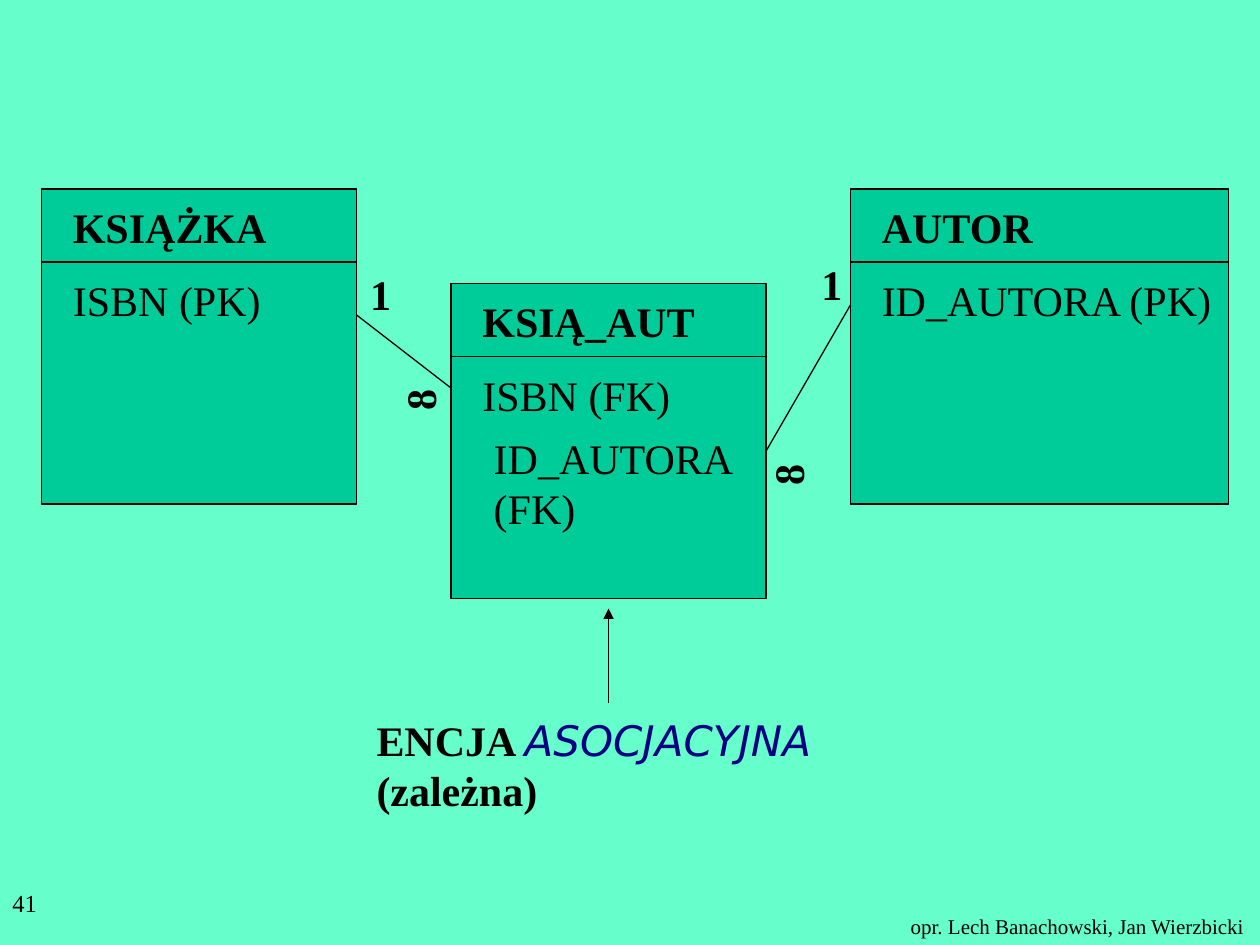
import pptx
import pptx.dml.color
import pptx.enum.shapes
import pptx.oxml.ns
import pptx.util
from lxml import etree
from pptx.util import Inches

SERIF = "Times New Roman"
BLACK = "000000"
HEADER_HEIGHT = 0.58


def color(hex_code):
    """Turn a hex string into a colour."""
    return pptx.dml.color.RGBColor.from_string(hex_code)


def style_font(font, size=24, bold=False, italic=False, name=SERIF, hex_code=BLACK):
    """Set the look of a paragraph or run font."""
    font.name, font.size = name, pptx.util.Pt(size)
    font.bold, font.italic = bold, italic
    font.color.rgb = color(hex_code)


def add_label(slide, text, left, top, width, height=0.5, size=24, bold=False,
              rotation=0, wrap=False):
    """Add a text box in one font and return its paragraph."""
    label = slide.shapes.add_textbox(Inches(left), Inches(top), Inches(width), Inches(height))
    label.rotation = rotation
    label.text_frame.word_wrap = wrap
    paragraph = label.text_frame.paragraphs[0]
    paragraph.text = text
    style_font(paragraph.font, size, bold)
    return paragraph


def add_line(slide, start, end, arrow=False):
    """Add a thin black line, with an arrowhead at its end if asked."""
    line = slide.shapes.add_connector(
        pptx.enum.shapes.MSO_CONNECTOR.STRAIGHT, *map(Inches, start + end))
    line.line.color.rgb = color(BLACK)
    line.line.width = pptx.util.Pt(0.75)
    properties = line._element.spPr
    if arrow:
        outline = properties.find(pptx.oxml.ns.qn("a:ln"))
        etree.SubElement(outline, pptx.oxml.ns.qn("a:tailEnd"), type="triangle")
    etree.SubElement(properties, pptx.oxml.ns.qn("a:effectLst"))


def add_entity(slide, name, key, left, top, width, name_width, key_width):
    """Add an entity box with its name above a rule and its key below."""
    box = slide.shapes.add_shape(
        pptx.enum.shapes.MSO_SHAPE.RECTANGLE,
        Inches(left), Inches(top), Inches(width), Inches(2.5))
    box.shadow.inherit = False
    box.fill.solid()
    box.fill.fore_color.rgb = color("00CC99")
    box.line.color.rgb = color(BLACK)
    box.line.width = pptx.util.Pt(0.75)
    rule = top + HEADER_HEIGHT
    add_label(slide, name, left + 0.15, top + 0.05, name_width, bold=True)
    add_line(slide, (left, rule), (left + width, rule))
    add_label(slide, key, left + 0.15, rule + 0.05, key_width)


def add_caption(slide):
    """Add the caption that names the associative entity, with its arrow."""
    caption = add_label(slide, "", 2.89, 5.62, 4.7, 0.9, bold=True, wrap=True)
    caption.add_run().text = "ENCJA "
    kind = caption.add_run()
    kind.text = "ASOCJACYJNA"
    style_font(kind.font, italic=True, name="DejaVu Sans", hex_code="000080")
    caption.add_run().text = " (zależna)"
    add_line(slide, (4.83, 5.58), (4.83, 4.83), arrow=True)


def main():
    """Build the slide and save it."""
    deck = pptx.Presentation()
    deck.slide_width, deck.slide_height = Inches(10), Inches(7.5)
    slide = deck.slides.add_slide(deck.slide_layouts[6])
    slide.background.fill.solid()
    slide.background.fill.fore_color.rgb = color("66FFCC")

    add_label(slide, "opr. Lech Banachowski, Jan Wierzbicki", 7.13, 7.2, 2.86, 0.3, size=12)
    add_entity(slide, "KSIĄŻKA", "ISBN (PK)", 0.33, 1.5, 2.5, 1.76, 1.72)
    add_entity(slide, "AUTOR", "ID_AUTORA (PK)", 6.75, 1.5, 3, 1.42, 2.86)
    add_entity(slide, "KSIĄ_AUT", "ISBN (FK)", 3.58, 2.25, 2.5, 1.95, 1.72)
    add_label(slide, "ID_AUTORA\v(FK)", 3.82, 3.38, 2.12, 0.9)

    add_line(slide, (2.83, 2.5), (3.58, 3.08))
    add_line(slide, (6.08, 3.58), (6.75, 2.42))
    for cardinality, left, top, rotation in (
            ("1", 6.42, 2, 0), ("1", 2.84, 2.08, 0),
            ("8", 6.07, 3.52, 270), ("8", 3.15, 2.93, 270)):
        add_label(slide, cardinality, left, top, 0.36, bold=True, rotation=rotation)

    add_caption(slide)
    add_label(slide, "41", 0, 7, 2.08, size=14, wrap=True)
    deck.save("out.pptx")


if __name__ == "__main__":
    main()
